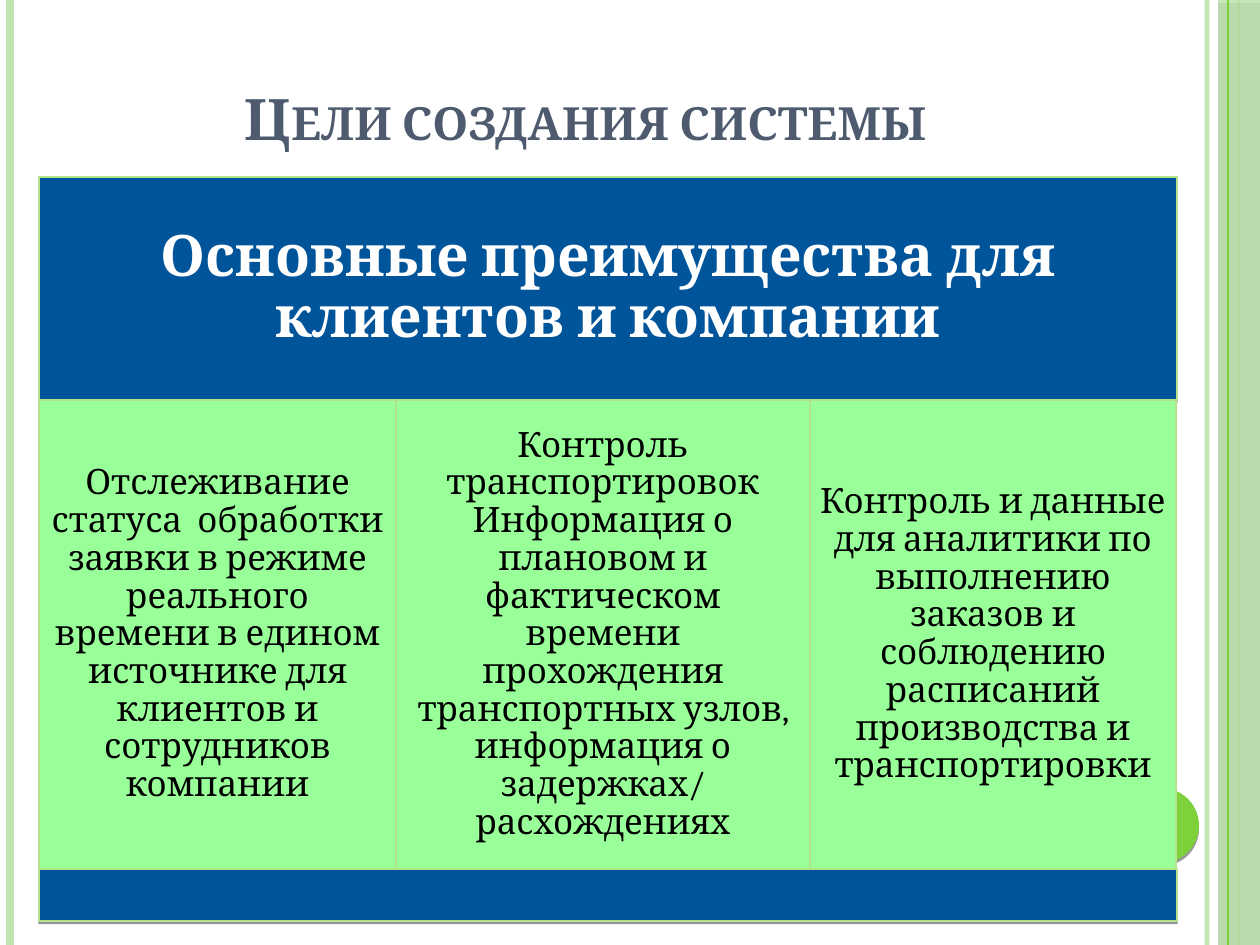
from dataclasses import dataclass
from lxml.etree import SubElement
from pptx import Presentation
from pptx.dml.color import RGBColor
from pptx.enum.shapes import MSO_CONNECTOR, MSO_SHAPE
from pptx.enum.text import MSO_ANCHOR, MSO_AUTO_SIZE, PP_ALIGN
from pptx.oxml.ns import qn
from pptx.util import Pt

SCALE = 8000
WIDE, HIGH = 1260, 945


@dataclass(frozen=True)
class Theme:
    font: str = "Cambria"
    blue: str = "00549A"
    mint: str = "99FF99"
    pale: str = "C0E4AF"
    green: str = "7FD13B"
    edge: str = "B2E389"
    slate: str = "4E5B6F"
    white: str = "FFFFFF"
    black: str = "000000"
    head: int = 36
    body: int = 22


THEME = Theme()


def px(*values):
    return [value * SCALE for value in values]


def apply(item, style):
    for name, value in style.items():
        setattr(item, name, value)


def paint(color, tone):
    color.rgb = RGBColor.from_string(tone)


def fade(node, alpha):
    for color in node.iter(qn("a:srgbClr")):
        SubElement(color, qn("a:alpha"), val=str(alpha * 1000))


def shade(shape, gap, alpha):
    shape.shadow.inherit = False
    effect = shape._element.spPr.find(qn("a:effectLst"))
    drop = SubElement(effect, qn("a:outerShdw"), blurRad="0",
                      dist=str(Pt(gap)), dir="5400000",
                      algn="ctr", rotWithShape="0")
    SubElement(drop, qn("a:srgbClr"), val=THEME.black)
    fade(drop, alpha)


def add_rule(slide, left, tone, width, alpha=100):
    rule = slide.shapes.add_connector(
        MSO_CONNECTOR.STRAIGHT, *px(left, 0, left, HIGH))
    rule.line.width = Pt(width)
    paint(rule.line.color, tone)
    props = rule._element.spPr
    if alpha < 100:
        fade(props, alpha)
    SubElement(props, qn("a:effectLst"))


def add_form(slide, kind, box, tone, alpha=100, drop=(2, 40)):
    form = slide.shapes.add_shape(kind, *px(*box))
    form.fill.solid()
    paint(form.fill.fore_color, tone)
    if alpha < 100:
        fade(form._element.spPr, alpha)
    form.line.fill.background()
    shade(form, *drop)
    return form


def write(shape, text, size, tone, bold, inset, **layout):
    frame = shape.text_frame
    side, top = px(*inset)
    apply(frame, {"word_wrap": True, "auto_size": MSO_AUTO_SIZE.NONE,
                  "margin_left": side, "margin_right": side,
                  "margin_top": top, "margin_bottom": top,
                  "vertical_anchor": layout.pop("anchor", MSO_ANCHOR.MIDDLE)})
    para = frame.paragraphs[0]
    apply(para, {"alignment": PP_ALIGN.CENTER, **layout})
    run = para.add_run()
    run.text = text
    apply(run.font, {"name": THEME.font, "size": Pt(size), "bold": bold})
    paint(run.font.color, tone)
    return run


def add_panel(slide, box, tone):
    panel = add_form(slide, MSO_SHAPE.RECTANGLE, box, tone, drop=(1.6, 42))
    paint(panel.line.color, THEME.edge)
    panel.line.width = 0
    return panel


def add_title(slide, text):
    title = slide.shapes.title
    left, top, width, height = px(30, 30, 1111, 128)
    apply(title, {"left": left, "top": top, "width": width, "height": height})
    run = write(title, text, THEME.head, THEME.slate, True, (11, 6),
                anchor=MSO_ANCHOR.BOTTOM)
    run._r.get_or_add_rPr().set("cap", "small")


def add_decor(slide):
    add_rule(slide, 1207, THEME.pale, 3, 93)
    add_rule(slide, 10, THEME.pale, 4.5)
    add_rule(slide, 1239, THEME.green, 1.5)
    add_form(slide, MSO_SHAPE.RECTANGLE, (1218, 0, 42, HIGH), THEME.pale, 87)
    add_rule(slide, 1228, THEME.green, 0.75)
    add_form(slide, MSO_SHAPE.OVAL, (1124, 788, 75, 75), THEME.green)


def add_goals(slide, head, goals):
    left, width = 39, 1138
    banner = add_panel(slide, (left, 177, width, 223), THEME.blue)
    write(banner, head, THEME.head, THEME.white, True, (17, 17),
          line_spacing=0.9, space_after=Pt(12.6))
    start = left
    for span, text in goals:
        panel = add_panel(slide, (start, 400, span, 469), THEME.mint)
        write(panel, text, THEME.body, THEME.black, False, (8, 8),
              line_spacing=0.9, space_after=Pt(5.6))
        start += span
    add_panel(slide, (left, 869, width, 52), THEME.blue)


def main():
    deck = Presentation()
    wide, high = px(WIDE, HIGH)
    apply(deck, {"slide_width": wide, "slide_height": high})
    slide = deck.slides.add_slide(deck.slide_layouts.get_by_name("Title Only"))
    add_decor(slide)
    add_title(slide, "Цели создания системы")
    add_goals(slide, "Основные преимущества для клиентов и компании", [
        (357, "Отслеживание статуса  обработки заявки в режиме реального "
              "времени в едином источнике для клиентов и сотрудников компании"),
        (414, "Контроль транспортировок Информация о плановом и фактическом "
              "времени прохождения транспортных узлов, информация о "
              "задержках/ расхождениях"),
        (366, "Контроль и данные для аналитики по выполнению заказов и "
              "соблюдению расписаний производства и транспортировки"),
    ])
    deck.save("out.pptx")


if __name__ == "__main__":
    main()
